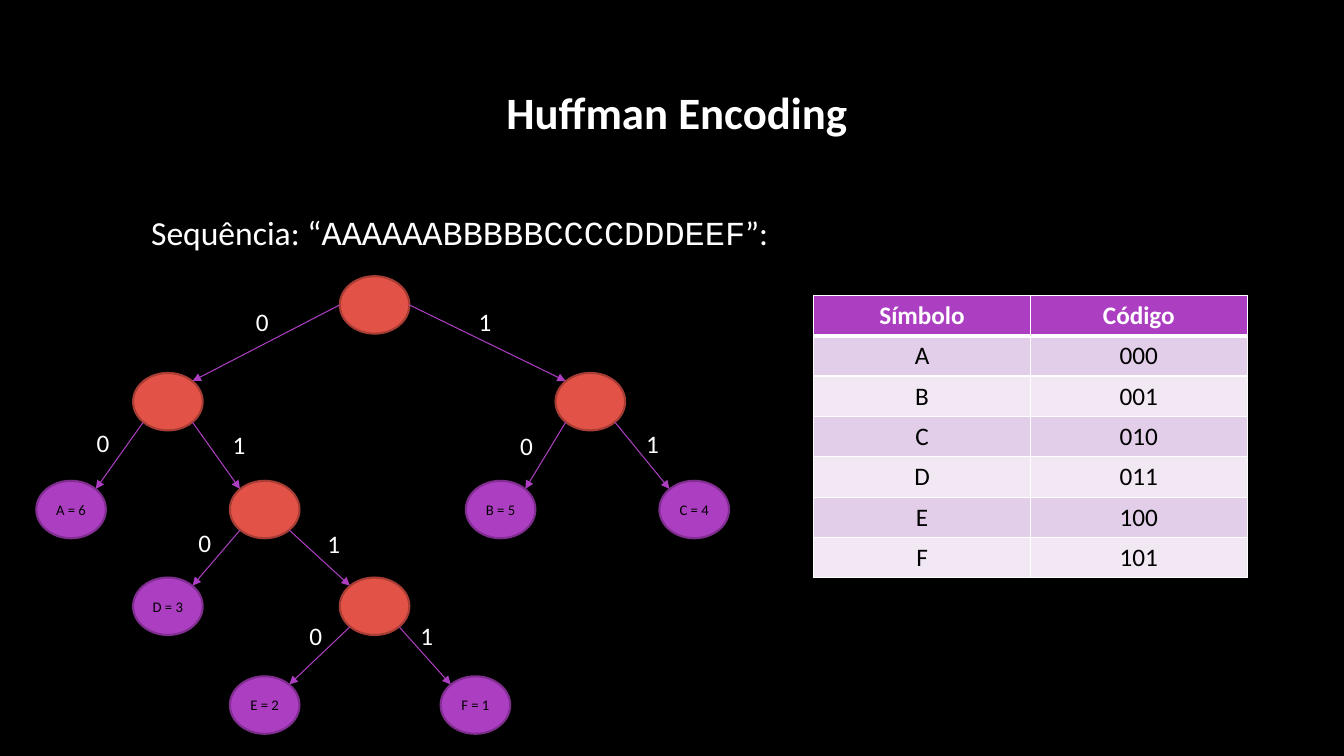
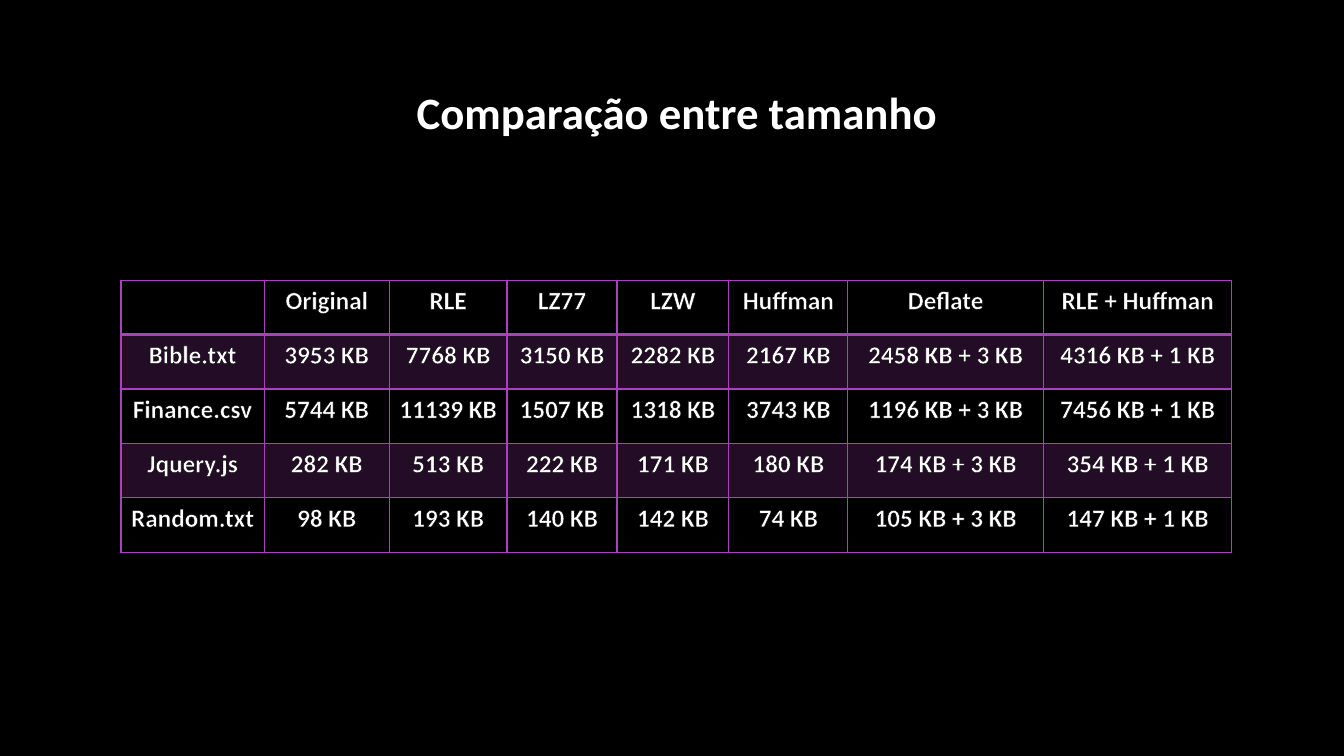
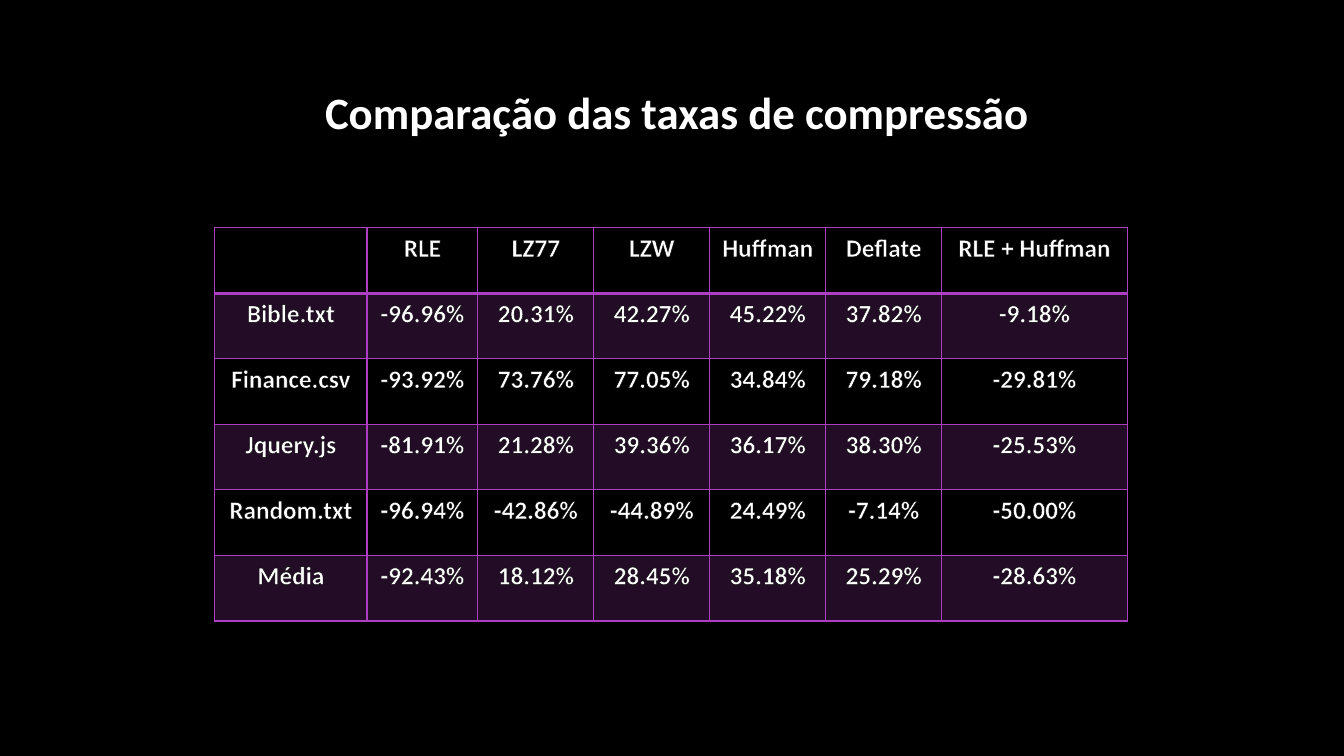
"""Build three slides on Huffman codes and compression results."""
import lxml.etree
import pptx
import pptx.dml.color
import pptx.enum.dml
import pptx.enum.shapes
import pptx.enum.text
import pptx.oxml.ns
import pptx.util

Inches = pptx.util.Inches
Pt = pptx.util.Pt
RGBColor = pptx.dml.color.RGBColor
Align = pptx.enum.text.PP_ALIGN
qn = pptx.oxml.ns.qn

BLACK = RGBColor(0x00, 0x00, 0x00)
WHITE = RGBColor(0xFF, 0xFF, 0xFF)
PURPLE = RGBColor(0xAC, 0x3E, 0xC1)
DARK_PURPLE = RGBColor(0x7F, 0x2E, 0x8F)
RED = RGBColor(0xE2, 0x52, 0x47)
DARK_RED = RGBColor(0xA7, 0x3D, 0x35)
LILAC = RGBColor(0xE3, 0xCE, 0xE9)
PALE_LILAC = RGBColor(0xF1, 0xE8, 0xF4)

FONT = "Calibri"
MONO_FONT = "Courier New"
PLAIN_TABLE_STYLE = "{2D5ABB26-0587-4C30-8999-92F81FD0307C}"

NODE_WIDTH, NODE_HEIGHT = 0.69, 0.57
CORNER_X, CORNER_Y = 0.1, 0.08
LEVELS = [2.74, 3.7, 4.77, 5.73, 6.71]

NODES = {
    "root": (3.37, 0, ""),
    "left": (1.32, 1, ""),
    "right": (5.51, 1, ""),
    "middle": (2.28, 2, ""),
    "low": (3.37, 3, ""),
    "A": (0.36, 2, "A = 6"),
    "B": (4.62, 2, "B = 5"),
    "C": (6.54, 2, "C = 4"),
    "D": (1.32, 3, "D = 3"),
    "E": (2.28, 4, "E = 2"),
    "F": (4.37, 4, "F = 1"),
}
BRANCHES = [
    ("root", "left", "0", 2.44, 2.99),
    ("root", "right", "1", 4.65, 2.99),
    ("left", "A", "0", 0.86, 4.19),
    ("left", "middle", "1", 2.21, 4.21),
    ("right", "B", "0", 5.06, 4.22),
    ("right", "C", "1", 6.31, 4.2),
    ("middle", "D", "0", 1.87, 5.18),
    ("middle", "low", "1", 3.15, 5.19),
    ("low", "E", "0", 2.97, 6.1),
    ("low", "F", "1", 4.07, 6.1),
]

CODES = [
    ["Símbolo", "Código"],
    ["A", "000"],
    ["B", "001"],
    ["C", "010"],
    ["D", "011"],
    ["E", "100"],
    ["F", "101"],
]
SIZES = [
    ["", "Original", "RLE", "LZ77", "LZW", "Huffman", "Deflate", "RLE + Huffman"],
    ["Bible.txt", "3953 KB", "7768 KB", "3150 KB", "2282 KB", "2167 KB",
     "2458 KB + 3 KB", "4316 KB + 1 KB"],
    ["Finance.csv", "5744 KB", "11139 KB", "1507 KB", "1318 KB", "3743 KB",
     "1196 KB + 3 KB", "7456 KB + 1 KB"],
    ["Jquery.js", "282 KB", "513 KB", "222 KB", "171 KB", "180 KB",
     "174 KB + 3 KB", "354 KB + 1 KB"],
    ["Random.txt", "98 KB", "193 KB", "140 KB", "142 KB", "74 KB",
     "105 KB + 3 KB", "147 KB + 1 KB"],
]
RATES = [
    ["", "RLE", "LZ77", "LZW", "Huffman", "Deflate", "RLE + Huffman"],
    ["Bible.txt", "-96.96%", "20.31%", "42.27%", "45.22%", "37.82%", "-9.18%"],
    ["Finance.csv", "-93.92%", "73.76%", "77.05%", "34.84%", "79.18%", "-29.81%"],
    ["Jquery.js", "-81.91%", "21.28%", "39.36%", "36.17%", "38.30%", "-25.53%"],
    ["Random.txt", "-96.94%", "-42.86%", "-44.89%", "24.49%", "-7.14%", "-50.00%"],
    ["Média", "-92.43%", "18.12%", "28.45%", "35.18%", "25.29%", "-28.63%"],
]


def apply(target, **values):
    for name, value in values.items():
        setattr(target, name, value)


def add_span(para, text, size, color, font=FONT, bold=False):
    span = para.add_run()
    span.text = text
    apply(span.font, name=font, size=Pt(size), bold=bold)
    span.font.color.rgb = color
    return span


def add_box(page, left, top, width, height, spans, align=Align.LEFT, **margins):
    box = page.shapes.add_textbox(*map(Inches, (left, top, width, height)))
    apply(box.text_frame, word_wrap=True,
          auto_size=pptx.enum.text.MSO_AUTO_SIZE.SHAPE_TO_FIT_TEXT, **margins)
    para = box.text_frame.paragraphs[0]
    para.alignment = align
    for span in spans:
        add_span(para, **span)


def add_page(deck, title):
    page = deck.slides.add_slide(deck.slide_layouts[6])
    page.background.fill.solid()
    page.background.fill.fore_color.rgb = BLACK
    heading = dict(text=title, size=32, color=WHITE, bold=True)
    add_box(page, 1.43, 0.79, 10.57, 0.64, [heading], Align.CENTER)
    return page


def add_node(page, left, level, label):
    node = page.shapes.add_shape(
        pptx.enum.shapes.MSO_SHAPE.OVAL,
        *map(Inches, (left, LEVELS[level], NODE_WIDTH, NODE_HEIGHT)))
    node.shadow.inherit = False
    node.fill.solid()
    node.fill.fore_color.rgb = PURPLE if label else RED
    node.line.color.rgb = DARK_PURPLE if label else DARK_RED
    node.line.width = Pt(1.5)
    if label:
        apply(node.text_frame, margin_left=0, margin_right=0, margin_top=0,
              margin_bottom=0, word_wrap=False,
              vertical_anchor=pptx.enum.text.MSO_ANCHOR.MIDDLE)
        para = node.text_frame.paragraphs[0]
        para.alignment = Align.CENTER
        add_span(para, label, 10.5, BLACK)


def add_arrow(page, start, end):
    arrow = page.shapes.add_connector(
        pptx.enum.shapes.MSO_CONNECTOR.STRAIGHT, *map(Inches, start + end))
    arrow.line.color.rgb = PURPLE
    arrow.line.width = Pt(0.75)
    properties = arrow.line._get_or_add_ln()
    lxml.etree.SubElement(properties, qn("a:tailEnd"), type="triangle")
    lxml.etree.SubElement(arrow._element.spPr, qn("a:effectLst"))


def add_branch(page, parent, child, bit, label_left, label_top):
    parent_left, parent_level, _ = NODES[parent]
    child_left, child_level, _ = NODES[child]
    near, far = CORNER_X, NODE_WIDTH - CORNER_X
    end_offset = near
    start_offset = far
    if bit == "0":
        start_offset, end_offset = near, far
    start_drop = NODE_HEIGHT - CORNER_Y
    if parent == "root":
        start_offset = 0 if bit == "0" else NODE_WIDTH
        start_drop = NODE_HEIGHT / 2
    add_arrow(page,
              (parent_left + start_offset, LEVELS[parent_level] + start_drop),
              (child_left + end_offset, LEVELS[child_level] + CORNER_Y))
    add_box(page, label_left, label_top, 0.23, 0.4,
            [dict(text=bit, size=18, color=WHITE)], margin_right=0)


def add_solid_fill(parent, color):
    fill = lxml.etree.SubElement(parent, qn("a:solidFill"))
    return lxml.etree.SubElement(fill, qn("a:srgbClr"), val=str(color))


def set_borders(cell, color, widths):
    properties = cell._tc.get_or_add_tcPr()
    for index, (side, width) in enumerate(zip("LRTB", widths)):
        border = lxml.etree.Element(qn("a:ln" + side), w=str(Pt(width)))
        add_solid_fill(border, color)
        properties.insert(index, border)


def outline_text(span):
    outline = lxml.etree.Element(qn("a:ln"), w=str(Pt(0.75)))
    add_solid_fill(outline, BLACK)
    span.font._element.insert(0, outline)


def fill_cell(cell, color, opacity=100):
    if color is None:
        cell.fill.background()
        return
    cell.fill.solid()
    cell.fill.fore_color.rgb = color
    if opacity < 100:
        tint = cell._tc.tcPr.find(".//" + qn("a:srgbClr"))
        lxml.etree.SubElement(tint, qn("a:alpha"), val=str(opacity * 1000))


def add_grid(page, left, top, columns, row_height, rows, paint, border, rule):
    frame = page.shapes.add_table(
        len(rows), len(columns), Inches(left), Inches(top),
        Inches(sum(columns)), Inches(row_height * len(rows)))
    table = frame.table
    apply(table, first_row=False, horz_banding=False)
    table._tbl.tblPr.find(qn("a:tableStyleId")).text = PLAIN_TABLE_STYLE
    for column, width in zip(table.columns, columns):
        column.width = Inches(width)
    for number, texts in enumerate(rows):
        table.rows[number].height = Inches(row_height)
        widths = (1, 1, rule if number == 1 else 1, rule if number == 0 else 1)
        for position, text in enumerate(texts):
            cell = table.cell(number, position)
            apply(cell, margin_left=Inches(0.08), margin_right=Inches(0.08))
            paint(cell, number, text)
            set_borders(cell, border, widths)


def write_cell(cell, text, color, bold):
    para = cell.text_frame.paragraphs[0]
    para.alignment = Align.CENTER
    return add_span(para, text, 18, color, bold=bold)


def paint_code(cell, number, text):
    header = number == 0
    band = LILAC if number % 2 else PALE_LILAC
    fill_cell(cell, PURPLE if header else band)
    write_cell(cell, text, WHITE if header else BLACK, header)


def paint_result(cell, number, text):
    fill_cell(cell, PURPLE if number % 2 else None, 20)
    if text:
        outline_text(write_cell(cell, text, WHITE, True))


def add_tree(page):
    for node in NODES.values():
        add_node(page, *node)
    for branch in BRANCHES:
        add_branch(page, *branch)


def main():
    deck = pptx.Presentation()
    apply(deck, slide_width=Inches(13.33), slide_height=Inches(7.5))

    page = add_page(deck, "Huffman Encoding")
    style = dict(size=24, color=WHITE)
    add_box(page, 1.4, 2.05, 10.88, 0.5, [
        dict(text="Sequência: “", **style),
        dict(text="AAAAAABBBBBCCCCDDDEEF", font=MONO_FONT, **style),
        dict(text="”:", **style),
    ], Align.JUSTIFY)
    add_tree(page)
    add_grid(page, 8.07, 2.93, [2.15] * 2, 0.4, CODES, paint_code, WHITE, 3)

    page = add_page(deck, "Comparação entre tamanho")
    add_grid(page, 1.2, 2.78, [1.42, 1.24, 1.17, 1.09, 1.11, 1.18, 1.94, 1.87],
             0.54, SIZES, paint_result, PURPLE, 2)

    page = add_page(deck, "Comparação das taxas de compressão")
    add_grid(page, 2.13, 2.26, [1.51, 1.1] + [1.15] * 4 + [1.84],
             0.65, RATES, paint_result, PURPLE, 2)

    deck.save("out.pptx")


if __name__ == "__main__":
    main()
